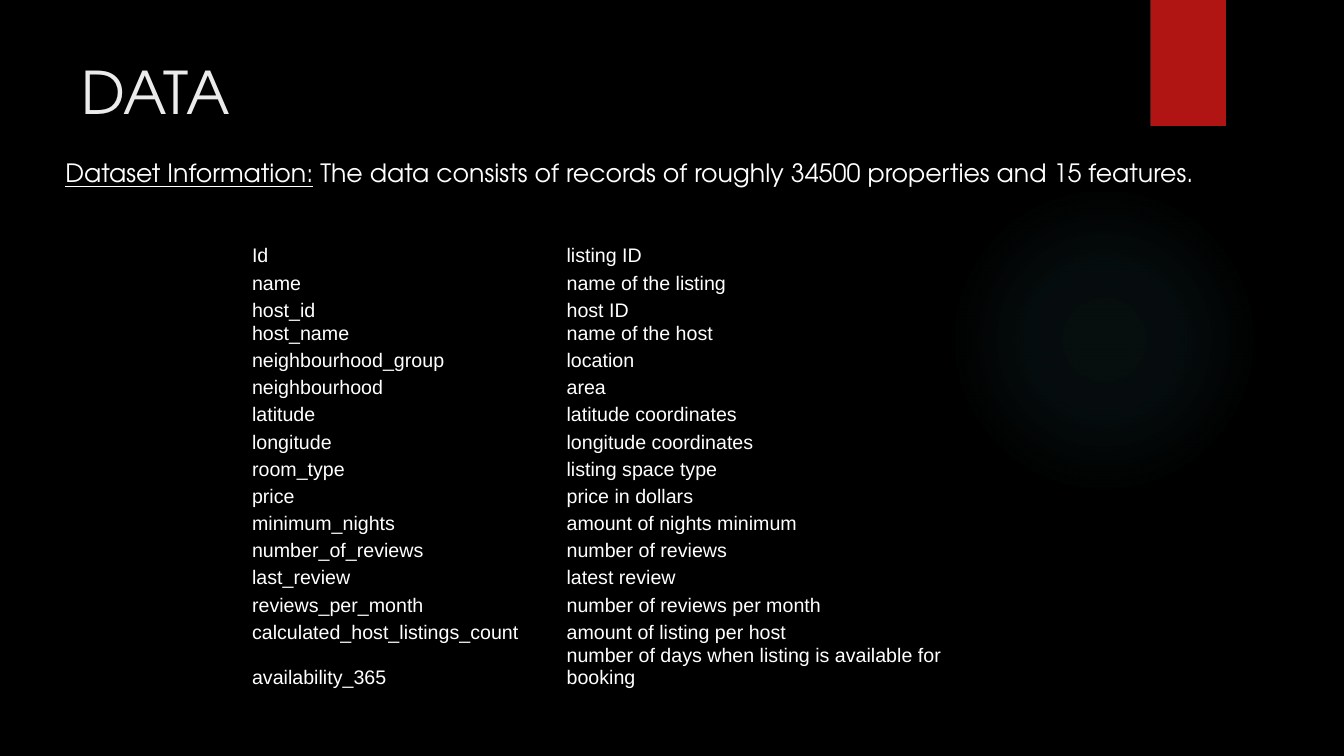
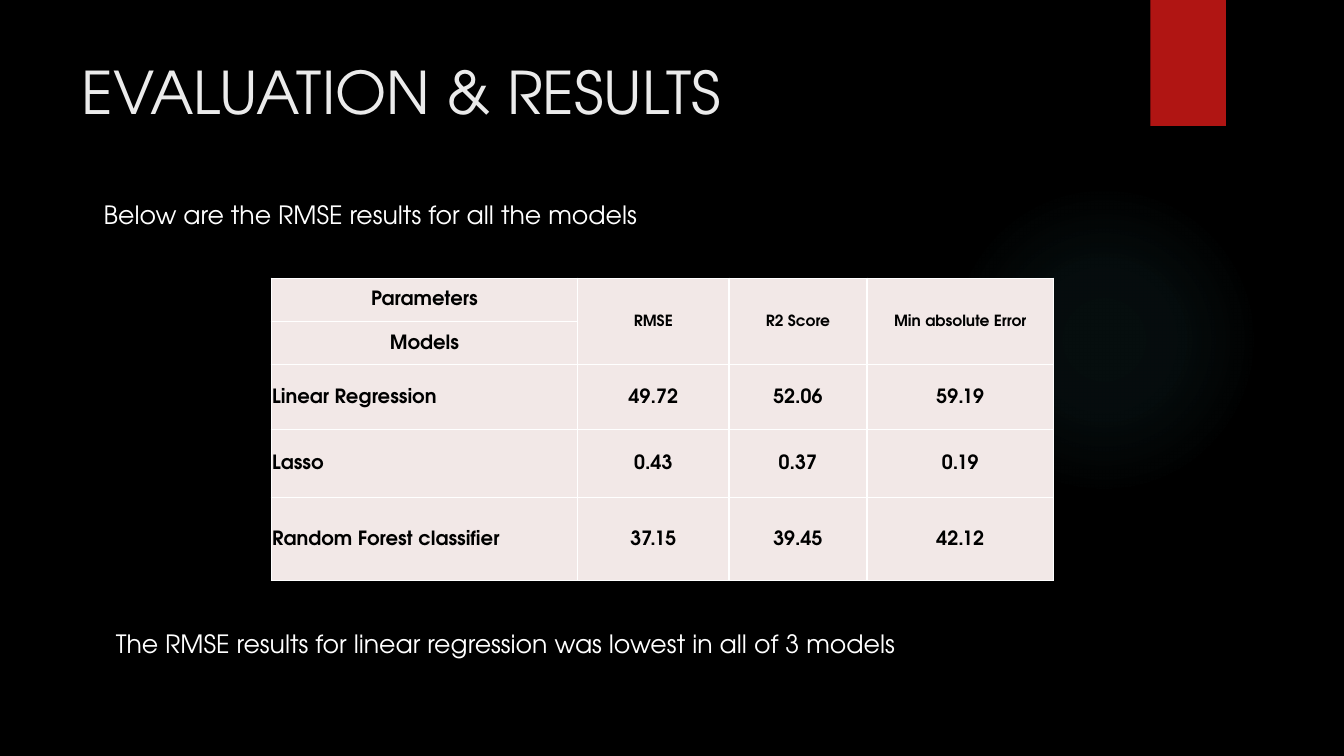
from lxml import etree
from pptx import Presentation
from pptx.dml.color import RGBColor
from pptx.enum.shapes import MSO_SHAPE as Shape
from pptx.enum.text import MSO_ANCHOR as Anchor, MSO_AUTO_SIZE as AutoSize, PP_ALIGN as Align
from pptx.oxml import parse_xml
from pptx.oxml.ns import nsdecls, qn
from pptx.util import Inches, Pt

BLACK = RGBColor(0x00, 0x00, 0x00)
WHITE = RGBColor(0xFF, 0xFF, 0xFF)
TITLE_GREY = RGBColor(0xEB, 0xEB, 0xEB)
BAND_RED = RGBColor(0xB0, 0x15, 0x13)
GLOW_TEAL = RGBColor(0x50, 0xB9, 0xC1)
CELL_PINK = RGBColor(0xF2, 0xE8, 0xE7)

THEME_FONT = "TeX Gyre Adventor"
TABLE_FONT = "Arial"
PLAIN_TABLE_STYLE = "{2D5ABB26-0587-4C30-8999-92F81FD0307C}"
GLOW_STOPS = [(0, 7), (36, 6), (69, 0)]  # position and opacity in percent

FEATURES = [
    ("Id", "listing ID"),
    ("name", "name of the listing"),
    ("host_id", "host ID"),
    ("host_name", "name of the host"),
    ("neighbourhood_group", "location"),
    ("neighbourhood", "area"),
    ("latitude", "latitude coordinates"),
    ("longitude", "longitude coordinates"),
    ("room_type", "listing space type"),
    ("price", "price in dollars"),
    ("minimum_nights", "amount of nights minimum"),
    ("number_of_reviews", "number of reviews"),
    ("last_review", "latest review"),
    ("reviews_per_month", "number of reviews per month"),
    ("calculated_host_listings_count", "amount of listing per host"),
    ("availability_365", "number of days when listing is available for booking"),
]
SCORES = [
    ("Parameters", "RMSE", "R2 Score", "Min absolute Error"),
    ("Models", "", "", ""),
    ("Linear Regression", "49.72", "52.06", "59.19"),
    ("Lasso", "0.43", "0.37", "0.19"),
    ("Random Forest classifier", "37.15", "39.45", "42.12"),
]


class Deck:
    """Holds the presentation, its style and the slide being built."""

    def __init__(self):
        self.presentation = Presentation()
        self.presentation.slide_width = Inches(13.33)
        self.presentation.slide_height = Inches(7.5)
        background = self.presentation.slide_master.background.fill
        background.solid()
        background.fore_color.rgb = BLACK
        self.slide = None

    def add_slide(self, title):
        self.slide = self.presentation.slides.add_slide(self.presentation.slide_layouts[5])
        self.add_glow()
        self.add_band()
        self.add_title(title)

    def add_plain_shape(self, kind, left, top, width, height):
        shape = self.slide.shapes.add_shape(
            kind, Inches(left), Inches(top), Inches(width), Inches(height))
        shape.shadow.inherit = False
        shape.line.fill.background()
        return shape

    def add_glow(self):
        """Draw the faint circle that fades out from its centre."""
        glow = self.add_plain_shape(Shape.OVAL, 9.41, 1.83, 3.08, 3.08)
        glow.fill.background()
        stops = "".join(
            f'<a:gs pos="{position * 1000}"><a:srgbClr val="{GLOW_TEAL}">'
            f'<a:alpha val="{opacity * 1000}"/></a:srgbClr></a:gs>'
            for position, opacity in GLOW_STOPS)
        gradient = parse_xml(
            f'<a:gradFill {nsdecls("a")} rotWithShape="1"><a:gsLst>{stops}</a:gsLst>'
            '<a:path path="circle"><a:fillToRect l="50000" t="50000" r="50000" b="50000"/>'
            '</a:path></a:gradFill>')
        properties = glow._element.spPr
        properties.replace(properties.find(qn("a:noFill")), gradient)

    def add_band(self):
        band = self.add_plain_shape(Shape.RECTANGLE, 11.41, 0, 0.75, 1.25)
        band.fill.solid()
        band.fill.fore_color.rgb = BAND_RED

    def add_title(self, text):
        title = self.slide.shapes.title
        title.left, title.top = Inches(0.71), Inches(0.5)
        title.width, title.height = Inches(10.29), Inches(1.53)
        frame = title.text_frame
        frame.vertical_anchor = Anchor.TOP
        frame.auto_size = AutoSize.NONE
        paragraph = frame.paragraphs[0]
        paragraph.alignment = Align.LEFT
        self.add_run(paragraph, text, 42, TITLE_GREY)
        self.slide.shapes._spTree.append(title._element)  # in front of the decoration

    def add_run(self, paragraph, text, size, color, font=THEME_FONT, bold=False, underline=False):
        run = paragraph.add_run()
        run.text = text
        run.font.name = font
        run.font.size = Pt(size)
        run.font.color.rgb = color
        run.font.bold = bold
        run.font.underline = underline

    def add_text(self, left, top, width, height, text, underlined=""):
        """Add a line of body text, with an optional underlined lead-in."""
        box = self.slide.shapes.add_textbox(
            Inches(left), Inches(top), Inches(width), Inches(height))
        frame = box.text_frame
        frame.word_wrap = True
        frame.auto_size = AutoSize.SHAPE_TO_FIT_TEXT
        paragraph = frame.paragraphs[0]
        if underlined:
            self.add_run(paragraph, underlined, 18, WHITE, underline=True)
        self.add_run(paragraph, text, 18, WHITE)

    def add_table(self, left, top, column_widths, row_heights):
        frame = self.slide.shapes.add_table(
            len(row_heights), len(column_widths), Inches(left), Inches(top),
            Inches(sum(column_widths)), Inches(sum(row_heights)))
        table = frame.table
        table._tbl.tblPr.find(qn("a:tableStyleId")).text = PLAIN_TABLE_STYLE
        table.first_row = table.horz_banding = False
        for column, width in zip(table.columns, column_widths):
            column.width = Inches(width)
        for row, height in zip(table.rows, row_heights):
            row.height = Inches(height)
        return table

    def fill_cell(self, cell, text, size, color, anchor, align=Align.LEFT,
                  font=THEME_FONT, bold=False):
        cell.margin_left = cell.margin_right = cell.margin_top = Inches(0.01)
        cell.margin_bottom = 0
        cell.vertical_anchor = anchor
        if text:
            paragraph = cell.text_frame.paragraphs[0]
            paragraph.alignment = align
            self.add_run(paragraph, text, size, color, font, bold)

    def paint_cell(self, cell, fill, border):
        cell.fill.solid()
        cell.fill.fore_color.rgb = fill
        properties = cell._tc.get_or_add_tcPr()
        for index, side in enumerate(("lnL", "lnR", "lnT", "lnB")):
            line = etree.Element(qn(f"a:{side}"), w=str(Pt(1)))
            solid = etree.SubElement(line, qn("a:solidFill"))
            etree.SubElement(solid, qn("a:srgbClr"), val=str(border))
            properties.insert(index, line)

    def add_feature_table(self):
        heights = [0.1 if name == "host_name" else 0.27 for name, _ in FEATURES]
        table = self.add_table(2.49, 2.38, [3.12, 4.4], heights)
        for row, feature in enumerate(FEATURES):
            for column, text in enumerate(feature):
                cell = table.cell(row, column)
                cell.fill.background()
                self.fill_cell(cell, text, 14, WHITE, Anchor.BOTTOM, font=TABLE_FONT)

    def add_score_table(self):
        table = self.add_table(2.69, 2.76, [3.04, 1.5, 1.37, 1.85],
                               [0.43, 0.43, 0.64, 0.68, 0.82])
        for row, scores in enumerate(SCORES):
            for column, text in enumerate(scores):
                cell = table.cell(row, column)
                is_metric = row == 0 and column > 0
                is_model = row > 1 and column == 0
                self.fill_cell(cell, text, 11 if is_metric else 14, BLACK, Anchor.MIDDLE,
                               Align.LEFT if is_model else Align.CENTER, bold=True)
                self.paint_cell(cell, CELL_PINK, WHITE)
        for column in range(1, len(SCORES[0])):
            table.cell(0, column).merge(table.cell(1, column))


def main():
    deck = Deck()

    deck.add_slide("DATA")
    deck.add_feature_table()
    deck.add_text(0.55, 1.51, 11.45, 0.4,
                  " The data consists of records of roughly 34500 properties and 15 features.",
                  underlined="Dataset Information:")

    deck.add_slide("EVALUATION & RESULTS")
    deck.add_text(0.93, 1.93, 11.39, 0.71, "Below are the RMSE results for all the models")
    deck.add_score_table()
    deck.add_text(1.05, 6.18, 11.39, 0.71,
                  "The RMSE results for linear regression was lowest in all of 3 models")

    deck.presentation.save("out.pptx")


if __name__ == "__main__":
    main()
